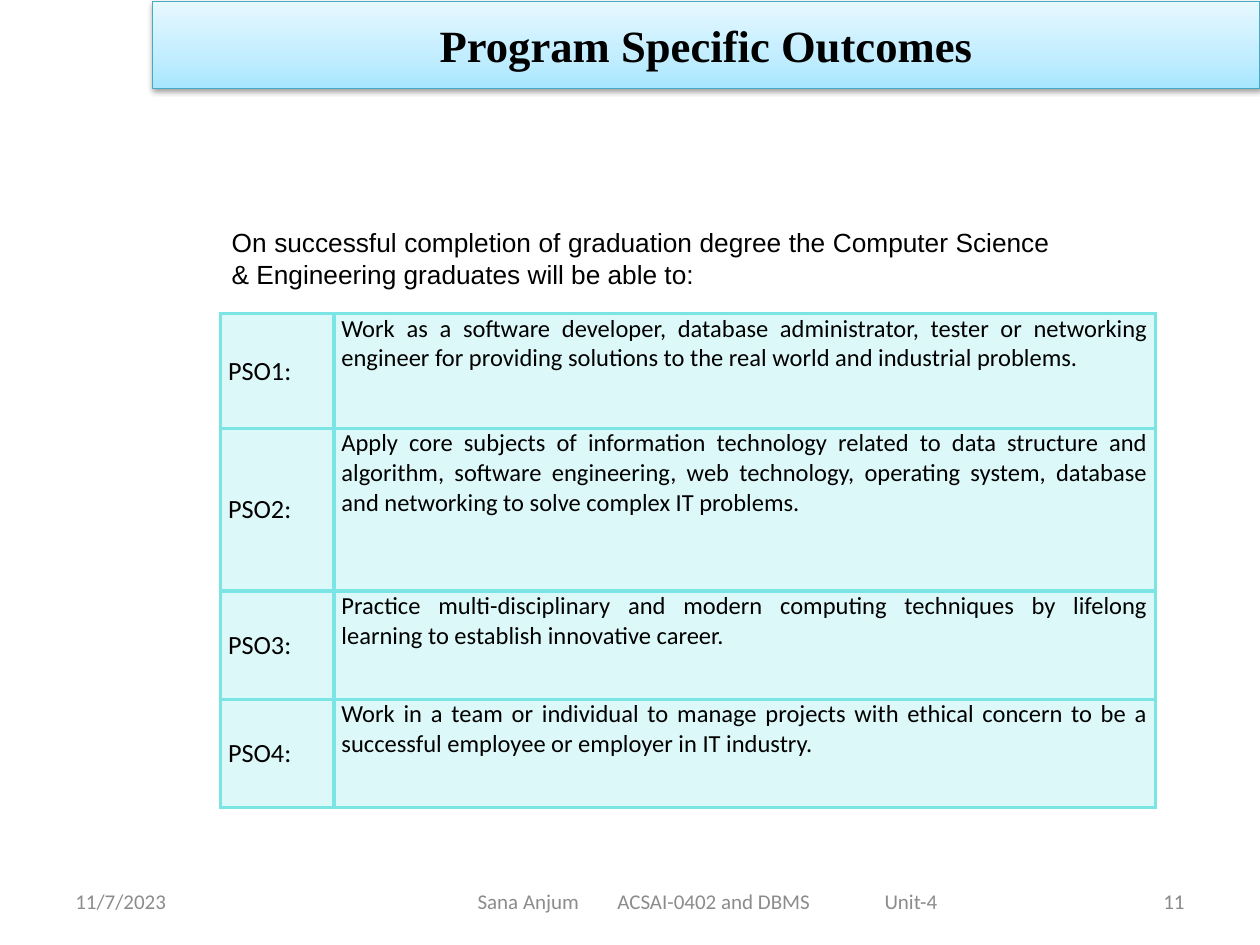
"""Build the Program Specific Outcomes slide with its table and footer."""
import copy

from lxml import etree
from pptx import Presentation
from pptx.dml.color import RGBColor
from pptx.enum import text as t
from pptx.oxml import ns
from pptx.util import Inches, Pt

TITLE = "Program Specific Outcomes"
INTRO = ("On successful completion of graduation degree the Computer Science "
         "& Engineering graduates will be able to:")
OUTCOMES = [
    ("PSO1:", "Work as a software developer, database administrator, tester or networking "
              "engineer for providing solutions to the real world and industrial problems.", 0.91),
    ("PSO2:", "Apply core subjects of information technology related to data structure and "
              "algorithm, software engineering, web technology, operating system, database "
              "and networking to solve complex IT problems.", 1.29),
    ("PSO3:", "Practice multi-disciplinary and modern computing techniques by lifelong "
              "learning to establish innovative career.", 0.86),
    ("PSO4:", "Work in a team or individual to manage projects with ethical concern to be a "
              "successful employee or employer in IT industry.", 0.86),
]
COLUMN_WIDTHS = (0.9, 6.52)
DATE, PAGE = "11/7/2023", "11"
FOOTER = "Sana Anjum\tACSAI-0402 and DBMS\tUnit-4"
FOOTER_TABS = (1.11, 3.23)

BLACK = RGBColor(0x00, 0x00, 0x00)
GREY = RGBColor(0x8C, 0x8C, 0x8C)
PAGE_GREY = RGBColor(0x89, 0x89, 0x89)
AQUA = RGBColor(0x7B, 0xE5, 0xE5)
TITLE_LINE = RGBColor(0x46, 0xAA, 0xC5)
TITLE_STOPS = [(0, RGBColor(0xA7, 0xE6, 0xFF)), (0.35, RGBColor(0xC1, 0xED, 0xFF)),
               (1, RGBColor(0xE7, 0xF8, 0xFF))]
LEFT, CENTER, RIGHT, JUSTIFY = (t.PP_ALIGN.LEFT, t.PP_ALIGN.CENTER,
                                t.PP_ALIGN.RIGHT, t.PP_ALIGN.JUSTIFY)
TOP, MIDDLE = t.MSO_ANCHOR.TOP, t.MSO_ANCHOR.MIDDLE


def add_element(parent, tag, **attributes):
    element = etree.SubElement(parent, ns.qn(tag))
    for name, value in attributes.items():
        element.set(name, str(value))
    return element


def write(frame, content, size, font="Calibri", color=BLACK, align=LEFT, bold=False):
    paragraph = frame.paragraphs[0]
    paragraph.alignment = align
    run = paragraph.add_run()
    run.text = content
    run.font.size, run.font.name, run.font.bold = Pt(size), font, bold
    run.font.color.rgb = color


def add_text(slide, box, content, size, anchor=MIDDLE, **style):
    frame = slide.shapes.add_textbox(*map(Inches, box)).text_frame
    frame.word_wrap = True
    frame.vertical_anchor = anchor
    write(frame, content, size, **style)
    return frame


def add_title(slide):
    title = slide.shapes.title
    title.left, title.top, title.width, title.height = map(Inches, (1.21, 0.01, 8.79, 0.69))
    title.fill.gradient()
    title.fill.gradient_angle = 90
    first_stop = title.fill.gradient_stops[0]._gs
    first_stop.addnext(copy.deepcopy(first_stop))
    for stop, (position, color) in zip(title.fill.gradient_stops, TITLE_STOPS):
        stop.position, stop.color.rgb = position, color
    title.line.color.rgb = TITLE_LINE
    title.line.width = Pt(0.75)
    effects = add_element(title._element.spPr, "a:effectLst")
    shadow = add_element(effects, "a:outerShdw", blurRad=Pt(3.1), dist=Pt(1.6),
                         dir=5400000, rotWithShape=0)
    add_element(add_element(shadow, "a:srgbClr", val="000000"), "a:alpha", val=38000)
    title.text_frame.auto_size = t.MSO_AUTO_SIZE.NONE
    title.text_frame.vertical_anchor = MIDDLE
    write(title.text_frame, TITLE, 25.5, "Times New Roman", align=CENTER, bold=True)


def format_cell(cell, content, size, anchor):
    cell.margin_left = cell.margin_right = Inches(0.06)
    cell.margin_top = cell.margin_bottom = 0
    cell.vertical_anchor = anchor
    properties = cell._tc.get_or_add_tcPr()
    for side in ("a:lnL", "a:lnR", "a:lnT", "a:lnB"):
        line = add_element(properties, side, w=Pt(2.25))
        add_element(add_element(line, "a:solidFill"), "a:srgbClr", val=AQUA)
    cell.fill.solid()
    cell.fill.fore_color.rgb = AQUA
    fill_color = properties.find(ns.qn("a:solidFill")).find(ns.qn("a:srgbClr"))
    add_element(fill_color, "a:alpha", val=25000)
    write(cell.text_frame, content, size, align=JUSTIFY)


def add_outcomes(slide):
    height = sum(outcome[2] for outcome in OUTCOMES)
    table = slide.shapes.add_table(len(OUTCOMES), 2, Inches(1.75), Inches(2.49),
                                   Inches(sum(COLUMN_WIDTHS)), Inches(height)).table
    table.first_row = table.horz_banding = False
    for column, width in zip(table.columns, COLUMN_WIDTHS):
        column.width = Inches(width)
    for row, (label, description, row_height) in zip(table.rows, OUTCOMES):
        row.height = Inches(row_height)
        format_cell(row.cells[0], label, 15, MIDDLE)
        format_cell(row.cells[1], description, 14, TOP)


def add_footer(slide):
    add_text(slide, (0.5, 6.95, 2.33, 0.4), DATE, 12, color=GREY)
    frame = add_text(slide, (3.42, 6.95, 4.42, 0.4), FOOTER, 12, color=GREY)
    frame.margin_left = Inches(0.37)
    tabs = add_element(frame.paragraphs[0]._p.get_or_add_pPr(), "a:tabLst")
    for position in FOOTER_TABS:
        add_element(tabs, "a:tab", pos=Inches(position), algn="l")
    add_text(slide, (7.17, 6.95, 2.33, 0.4), PAGE, 12, color=PAGE_GREY, align=RIGHT)


def main():
    presentation = Presentation()
    presentation.slide_width, presentation.slide_height = Inches(10), Inches(7.5)
    slide = presentation.slides.add_slide(presentation.slide_layouts[5])
    add_footer(slide)
    add_outcomes(slide)
    add_title(slide)
    add_text(slide, (1.74, 1.75, 6.69, 0.61), INTRO, 15, anchor=TOP, font="Arial", align=JUSTIFY)
    presentation.save("out.pptx")


if __name__ == "__main__":
    main()
